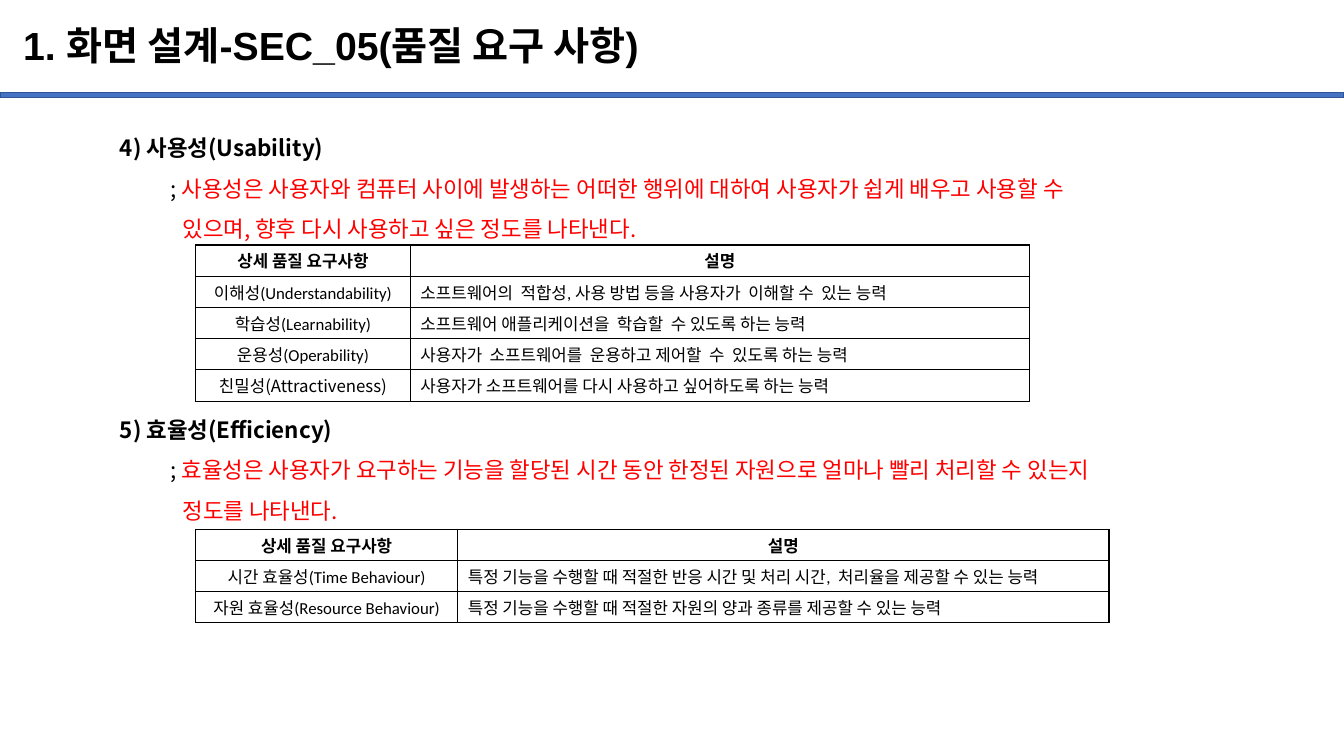
from pptx import Presentation
from pptx.dml.color import RGBColor
from pptx.enum.shapes import MSO_SHAPE
from pptx.enum.text import MSO_ANCHOR, MSO_AUTO_SIZE, PP_ALIGN
from pptx.oxml.ns import qn
from pptx.util import Inches, Pt
from lxml.etree import SubElement

COLORS = {"text": "000000", "accent": "FF0000", "bar": "4472C4",
          "bar_line": "325491", "cell": "FFFFFF", "border": "000000"}
KOREAN = "Noto Sans CJK KR"
LATIN = "Calibri"
HEADER = ("상세 품질 요구사항", "설명")

SECTIONS = [
    ("4) 사용성(Usability)",
     "사용성은 사용자와 컴퓨터 사이에 발생하는 어떠한 행위에 대하여 사용자가 쉽게 배우고 사용할 수\v"
     "있으며, 향후 다시 사용하고 싶은 정도를 나타낸다."),
    ("5) 효율성(Efficiency)",
     "효율성은 사용자가 요구하는 기능을 할당된 시간 동안 한정된 자원으로 얼마나 빨리 처리할 수 있는지\v"
     "정도를 나타낸다."),
]
USABILITY = [
    HEADER,
    ("이해성(Understandability)", "소프트웨어의  적합성, 사용 방법 등을 사용자가  이해할 수  있는 능력"),
    ("학습성(Learnability)", "소프트웨어 애플리케이션을  학습할  수 있도록 하는 능력"),
    ("운용성(Operability)", "사용자가  소프트웨어를  운용하고 제어할  수  있도록 하는 능력"),
    ("친밀성(Attractiveness)", "사용자가 소프트웨어를 다시 사용하고 싶어하도록 하는 능력"),
]
EFFICIENCY = [
    HEADER,
    ("시간 효율성(Time Behaviour)", "특정 기능을 수행할 때 적절한 반응 시간 및 처리 시간,  처리율을 제공할 수 있는 능력"),
    ("자원 효율성(Resource Behaviour)", "특정 기능을 수행할 때 적절한 자원의 양과 종류를 제공할 수 있는 능력"),
]


def rgb(name):
    """Return the named colour."""
    return RGBColor.from_string(COLORS[name])


class QualityPage:
    """Hold the slide and draw its elements in one style."""

    def __init__(self, deck):
        """Add a page with a title and a body."""
        self.page = deck.slides.add_slide(deck.slide_layouts[1])

    def place(self, shape, left, top, width, height):
        """Move and size a shape in inches."""
        shape.left, shape.top = Inches(left), Inches(top)
        shape.width, shape.height = Inches(width), Inches(height)

    def style(self, span, size, font=KOREAN, color="text", bold=False):
        """Format one run for Latin and Korean letters."""
        span.font.size = Pt(size)
        span.font.bold = bold
        span.font.color.rgb = rgb(color)
        span.font.name = font
        SubElement(span.font._element, qn("a:ea"), typeface=KOREAN)

    def bar(self, left, top, width, height):
        """Draw the rule below the title."""
        shape = self.page.shapes.add_shape(
            MSO_SHAPE.RECTANGLE, Inches(left), Inches(top), Inches(width), Inches(height))
        shape.shadow.inherit = False
        shape.fill.solid()
        shape.fill.fore_color.rgb = rgb("bar")
        shape.line.color.rgb = rgb("bar_line")
        shape.line.width = Pt(1)

    def title(self, text, *area):
        """Fill the title placeholder."""
        box = self.page.shapes.title
        self.place(box, *area)
        frame = box.text_frame
        frame.text = text
        frame.auto_size = MSO_AUTO_SIZE.NONE
        frame.vertical_anchor = MSO_ANCHOR.MIDDLE
        para = frame.paragraphs[0]
        para.alignment = PP_ALIGN.LEFT
        para.line_spacing = 0.9
        self.style(para.runs[0], 28, "Arial", bold=True)

    def body(self, sections, gap, *area):
        """Fill the body with headings and their definitions."""
        box = self.page.placeholders[1]
        self.place(box, *area)
        frame = box.text_frame
        frame.auto_size = MSO_AUTO_SIZE.NONE
        for number, (heading, definition) in enumerate(sections):
            para = frame.add_paragraph() if number else frame.paragraphs[0]
            para.text = heading
            self.format_line(para, 0, 0, gap if number else 0)
            self.style(para.runs[0], 16, bold=True)
            para = frame.add_paragraph()
            para.text = "; " + definition
            self.format_line(para, 0.62, -0.12, 0)
            first = para.runs[0]
            first.text = "; "
            lead = definition.split("\v")[0]
            span = para.add_run()
            span.text = lead
            first._r.addnext(span._r)
            for span in para.runs:
                self.style(span, 16, color="text" if span.text == "; " else "accent")

    def format_line(self, para, margin, indent, before):
        """Set spacing and indent and switch the bullet off."""
        para.line_spacing = 1.5
        para.space_before = Pt(before)
        para.space_after = Pt(0)
        properties = para._p.get_or_add_pPr()
        properties.set("marL", str(Inches(margin)))
        properties.set("indent", str(Inches(indent)))
        SubElement(properties, qn("a:buNone"))

    def table(self, rows, left, top, widths, row_height, latin_fonts):
        """Draw a bordered table of requirements."""
        grid = self.page.shapes.add_table(
            len(rows), len(widths), Inches(left), Inches(top),
            Inches(sum(widths)), Inches(row_height * len(rows))).table
        grid.horz_banding = False
        for column, width in zip(grid.columns, widths):
            column.width = Inches(width)
        for row_index, row in enumerate(rows):
            grid.rows[row_index].height = Inches(row_height)
            for column_index, text in enumerate(row):
                font = latin_fonts.get((row_index, column_index), LATIN)
                self.cell(grid.cell(row_index, column_index), text, font,
                          header=row_index == 0, centred=row_index == 0 or column_index == 0)

    def cell(self, cell, text, font, header, centred):
        """Fill and format one table cell."""
        cell.text = text
        cell.vertical_anchor = MSO_ANCHOR.MIDDLE
        cell.margin_top = cell.margin_bottom = Inches(0.03)
        para = cell.text_frame.paragraphs[0]
        para.alignment = PP_ALIGN.CENTER if centred else PP_ALIGN.LEFT
        self.style(para.runs[0], 12, font, bold=header)
        properties = cell._tc.get_or_add_tcPr()
        for side in ("lnL", "lnR", "lnT", "lnB"):
            line = SubElement(properties, qn("a:" + side), w=str(Pt(1)))
            fill = SubElement(line, qn("a:solidFill"))
            SubElement(fill, qn("a:srgbClr"), val=COLORS["border"])
        cell.fill.solid()
        cell.fill.fore_color.rgb = rgb("cell")


def main():
    """Build and save the deck."""
    deck = Presentation()
    deck.slide_width, deck.slide_height = Inches(13.33), Inches(7.5)
    page = QualityPage(deck)
    page.bar(0, 0.92, 13.33, 0.05)
    page.title("1. 화면 설계-SEC_05(품질 요구 사항)", 0.13, 0.1, 11.5, 0.74)
    page.body(SECTIONS, 115, 1.09, 1.15, 11.72, 4.95)
    page.table(USABILITY, 1.94, 2.43, (2.13, 6.14), 0.31, {(0, 0): KOREAN, (4, 0): KOREAN})
    page.table(EFFICIENCY, 1.94, 5.25, (2.6, 6.46), 0.31, {(0, 0): KOREAN})
    deck.save("out.pptx")


if __name__ == "__main__":
    main()
